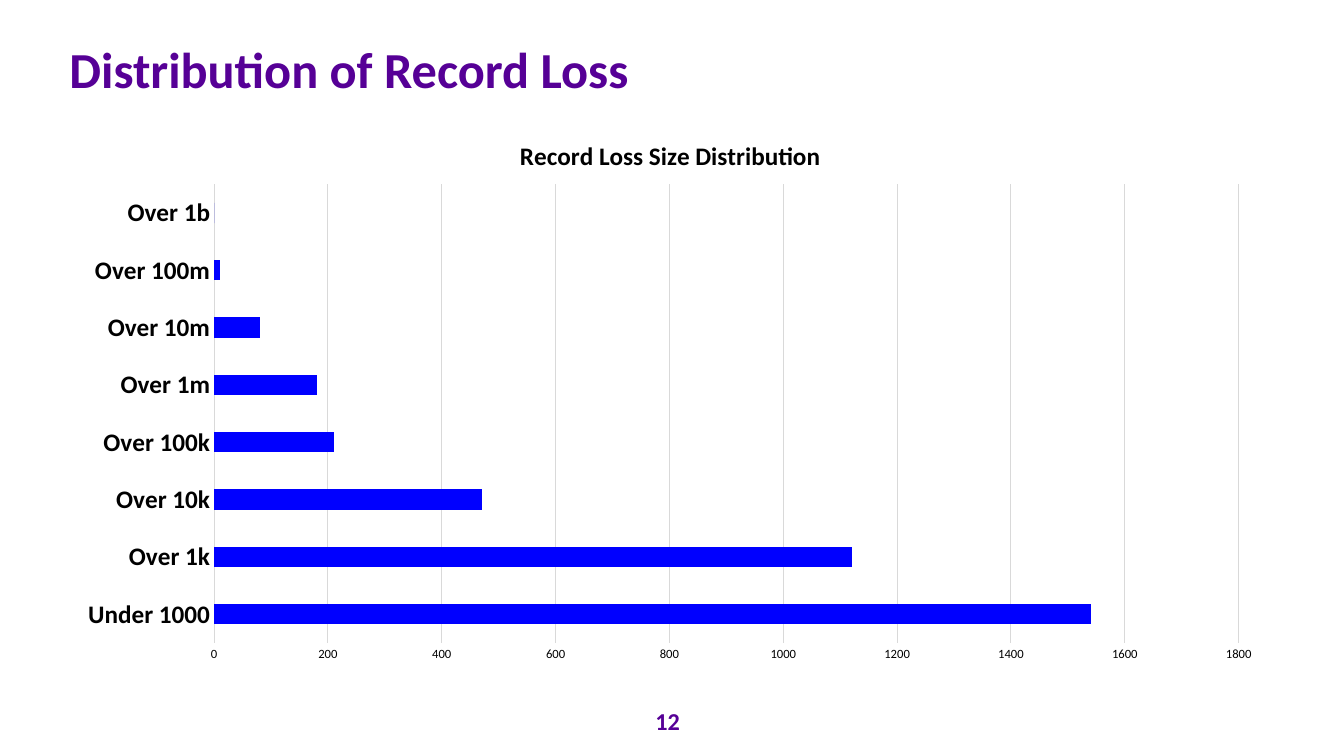
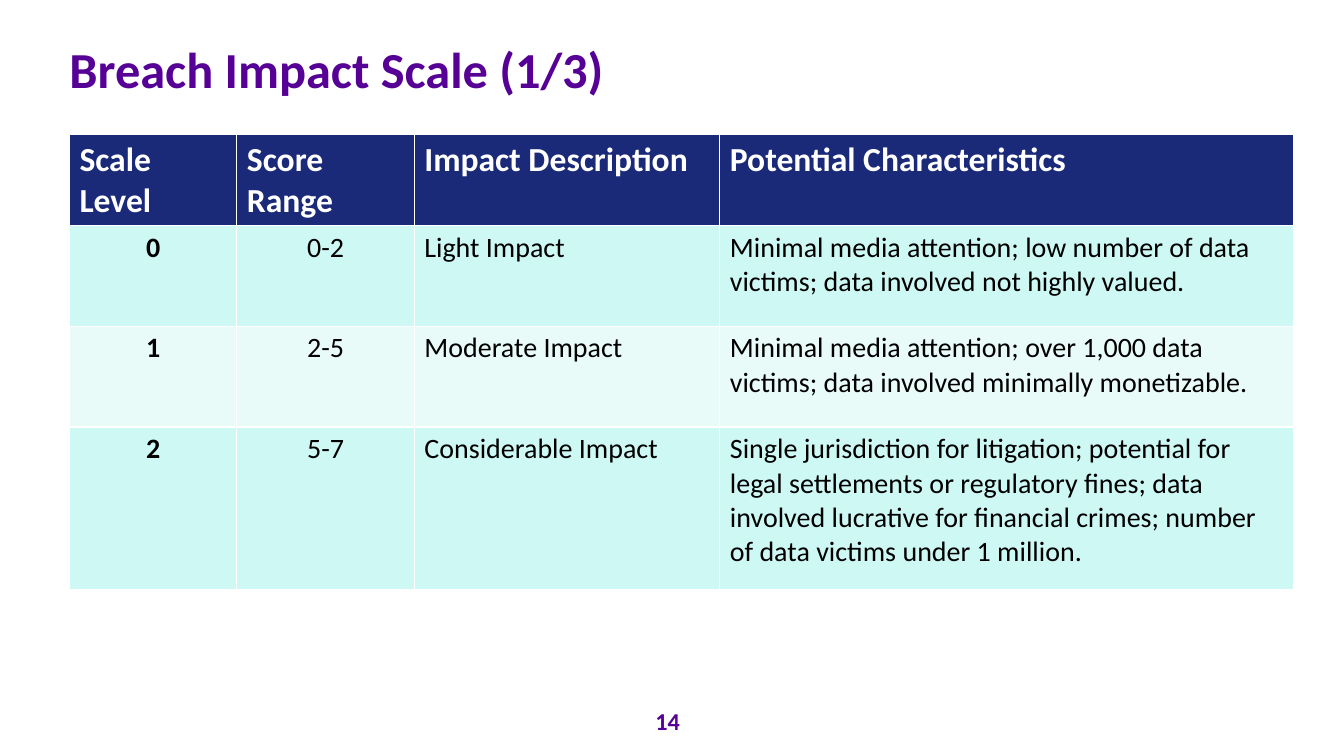
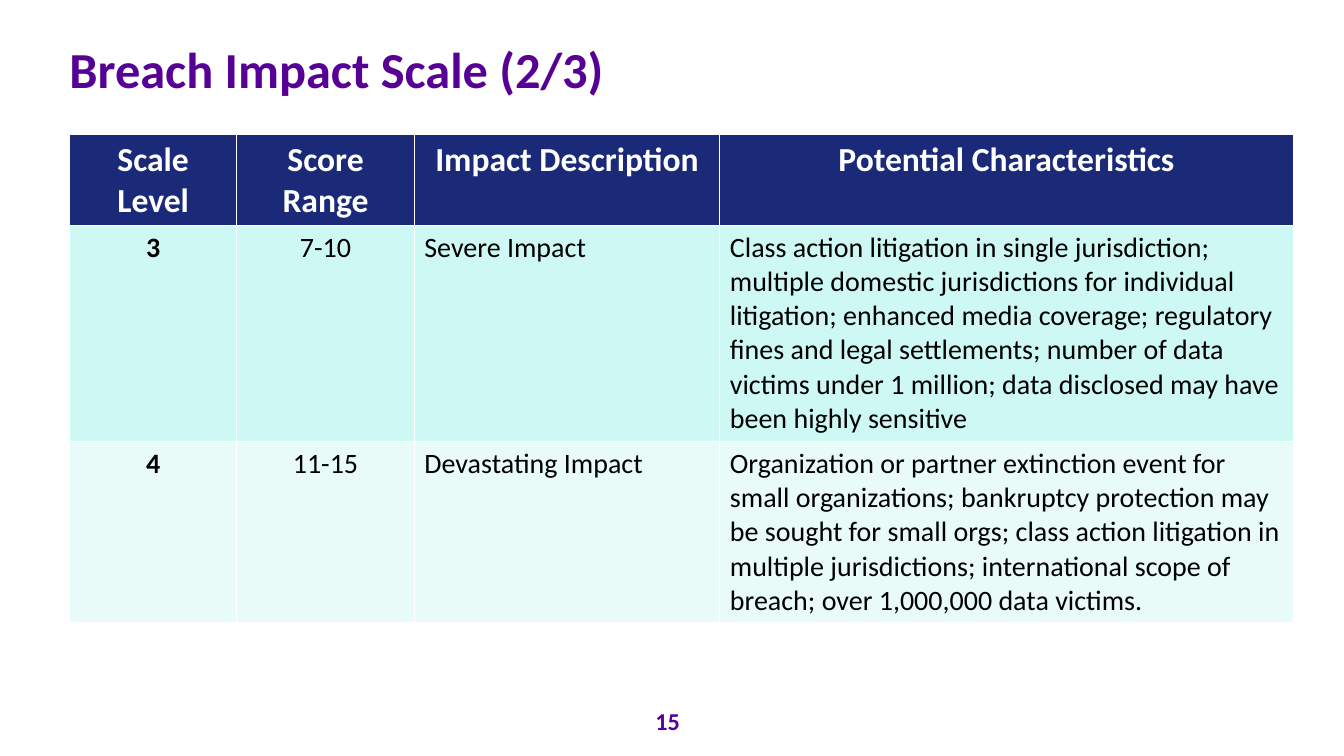
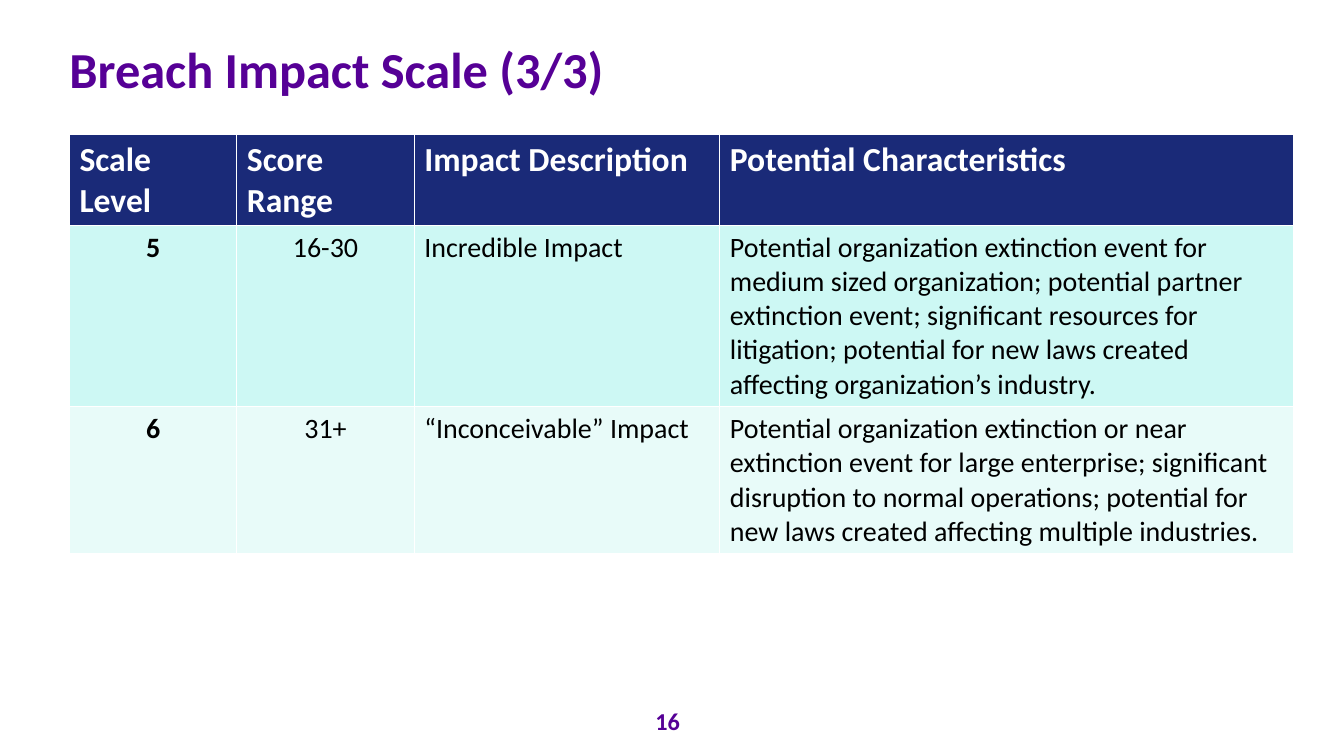
import pptx
import pptx.chart.data
import pptx.dml.color
import pptx.enum.chart
import pptx.enum.text
import pptx.oxml
import pptx.oxml.ns
import pptx.util

Cm, Pt = pptx.util.Cm, pptx.util.Pt
RGBColor = pptx.dml.color.RGBColor
ALIGN = pptx.enum.text.PP_ALIGN
ANCHOR = pptx.enum.text.MSO_ANCHOR
qn = pptx.oxml.ns.qn

# Colours
PURPLE = RGBColor(0x56, 0x00, 0x96)
NAVY = RGBColor(0x1A, 0x2A, 0x78)
AQUA = RGBColor(0xCD, 0xF8, 0xF4)
PALE_AQUA = RGBColor(0xE8, 0xFB, 0xF9)
BLUE = RGBColor(0x00, 0x00, 0xFF)
GRID_GREY = RGBColor(0xD9, 0xD9, 0xD9)
BLACK = RGBColor(0x00, 0x00, 0x00)
WHITE = RGBColor(0xFF, 0xFF, 0xFF)

# Content
LOSS_SIZES = {
    "Under 1000": 1540, "Over 1k": 1120, "Over 10k": 470, "Over 100k": 210,
    "Over 1m": 180, "Over 10m": 80, "Over 100m": 10, "Over 1b": 0,
}
SCALE_HEADINGS = ["Scale Level", "Score Range", "Impact Description",
                  "Potential Characteristics"]
# Each part: page number, heading alignment, row heights in cm, levels
SCALE_PARTS = [
    (14, ALIGN.LEFT, [2.54, 2.54, 4.09], [
        ("0", "0-2", "Light Impact",
         "Minimal media attention; low number of data victims; data involved "
         "not highly valued."),
        ("1", "2-5", "Moderate Impact",
         "Minimal media attention; over 1,000 data victims; data involved "
         "minimally monetizable."),
        ("2", "5-7", "Considerable Impact",
         "Single jurisdiction for litigation; potential for legal settlements "
         "or regulatory fines; data involved lucrative for financial crimes; "
         "number of data victims under 1 million."),
    ]),
    (15, ALIGN.CENTER, [5.45, 4.57], [
        ("3", "7-10", "Severe Impact",
         "Class action litigation in single jurisdiction; multiple domestic "
         "jurisdictions for individual litigation; enhanced media coverage; "
         "regulatory fines and legal settlements; number of data victims "
         "under 1 million; data disclosed may have been highly sensitive"),
        ("4", "11-15", "Devastating Impact",
         "Organization or partner extinction event for small organizations; "
         "bankruptcy protection may be sought for small orgs; class action "
         "litigation in multiple jurisdictions; international scope of "
         "breach; over 1,000,000 data victims."),
    ]),
    (16, ALIGN.LEFT, [4.57, 3.7], [
        ("5", "16-30", "Incredible Impact",
         "Potential organization extinction event for medium sized "
         "organization; potential partner extinction event; significant "
         "resources for litigation; potential for new laws created affecting "
         "organization’s industry."),
        ("6", "31+", "“Inconceivable” Impact",
         "Potential organization extinction or near extinction event for "
         "large enterprise; significant disruption to normal operations; "
         "potential for new laws created affecting multiple industries."),
    ]),
]


def assign(target, values):
    for name, value in values.items():
        setattr(target, name, value)


class Deck:
    """Holds the shared style and the slide being built."""

    FONT = "Calibri"
    LEFT = Cm(1.75)
    TITLE_BOX = {"left": LEFT, "top": Cm(0.25), "width": Cm(29.95), "height": Cm(3.12)}
    NUMBER_BOX = (Cm(14.88), Cm(17.65), Cm(3.89), Cm(1.02))
    CHART_BOX = (LEFT, Cm(2.79), Cm(30.38), Cm(14.27))
    TABLE_TOP = Cm(3.38)
    COLUMNS = [Cm(4.22), Cm(4.47), Cm(7.7), Cm(14.45)]
    HEADING_HEIGHT = Cm(2.3)

    def __init__(self):
        self.presentation = pptx.Presentation()
        assign(self.presentation, {"slide_width": Cm(33.87), "slide_height": Cm(19.05)})
        self.slide = None

    def style_font(self, font, size, color=BLACK, bold=False):
        assign(font, {"name": self.FONT, "size": Pt(size), "bold": bold})
        font.color.rgb = color

    def put_text(self, frame, text, size, color=BLACK, bold=False, align=ALIGN.LEFT):
        paragraph = frame.paragraphs[0]
        paragraph.alignment = align
        run = paragraph.add_run()
        run.text = text
        self.style_font(run.font, size, color, bold)
        return paragraph

    def add_slide(self, title, number):
        self.slide = self.presentation.slides.add_slide(self.presentation.slide_layouts[5])
        heading = self.slide.shapes.title
        assign(heading, self.TITLE_BOX)
        assign(heading.text_frame, {
            "margin_left": 0, "margin_right": 0, "margin_top": 0, "margin_bottom": 0,
            "vertical_anchor": ANCHOR.MIDDLE, "word_wrap": True,
            "auto_size": pptx.enum.text.MSO_AUTO_SIZE.NONE,
        })
        self.put_text(heading.text_frame, title, 36, PURPLE, True).line_spacing = 0.9

        page = self.slide.shapes.add_textbox(*self.NUMBER_BOX).text_frame
        assign(page, {"word_wrap": True, "vertical_anchor": ANCHOR.MIDDLE})
        self.put_text(page, str(number), 17.3, PURPLE, True, ALIGN.CENTER)

    def place(self, parent, index, **fractions):
        """Fix a chart part at fractions of the chart area."""
        for old in parent.findall(qn("c:layout")):
            parent.remove(old)
        target = '<c:layoutTarget val="inner"/>' if "w" in fractions else ""
        modes = "".join(f'<c:{axis}Mode val="edge"/>' for axis in "xy")
        sizes = "".join(f'<c:{key} val="{value}"/>' for key, value in fractions.items())
        parent.insert(index, pptx.oxml.parse_xml(
            f'<c:layout {pptx.oxml.ns.nsdecls("c")}><c:manualLayout>'
            f'{target}{modes}{sizes}</c:manualLayout></c:layout>'))

    def add_bar_chart(self, title, values):
        data = pptx.chart.data.CategoryChartData()
        data.categories = list(values)
        data.add_series("Series 1", list(values.values()))
        chart = self.slide.shapes.add_chart(
            pptx.enum.chart.XL_CHART_TYPE.BAR_CLUSTERED, *self.CHART_BOX, data).chart
        self.style_font(chart.font, 10)
        assign(chart, {"has_legend": False, "has_title": True})
        self.put_text(chart.chart_title.text_frame, title, 18, bold=True, align=ALIGN.CENTER)
        self.place(chart.chart_title.element, 1, x=0.37, y=0.04)
        self.place(chart.element.find(".//" + qn("c:plotArea")), 0,
                   x=0.12, y=0.13, w=0.85, h=0.81)

        # Bars
        plot = chart.plots[0]
        assign(plot, {"gap_width": 182, "vary_by_categories": False})
        fill = plot.series[0].format.fill
        fill.solid()
        fill.fore_color.rgb = BLUE

        # Axes
        sizes, counts = chart.category_axis, chart.value_axis
        for axis, size, bold in ((sizes, 18, True), (counts, 9, False)):
            axis.major_tick_mark = pptx.enum.chart.XL_TICK_MARK.NONE
            self.style_font(axis.tick_labels.font, size, bold=bold)
        assign(counts, {"minimum_scale": 0, "maximum_scale": 1800, "major_unit": 200})
        counts.format.line.fill.background()
        for line in (sizes.format.line, counts.major_gridlines.format.line):
            line.color.rgb = GRID_GREY
            line.width = Pt(0.75)

    def fill_cell(self, cell, text, background, **style):
        cell.fill.solid()
        cell.fill.fore_color.rgb = background
        self.put_text(cell.text_frame, text, **style)

    def add_scale_table(self, heading_align, heights, levels):
        row_heights = [self.HEADING_HEIGHT] + [Cm(height) for height in heights]
        table = self.slide.shapes.add_table(
            len(row_heights), len(self.COLUMNS), self.LEFT, self.TABLE_TOP,
            sum(self.COLUMNS), sum(row_heights)).table
        for column, width in zip(table.columns, self.COLUMNS):
            column.width = width
        for row, height in zip(table.rows, row_heights):
            row.height = height

        for column, heading in enumerate(SCALE_HEADINGS):
            self.fill_cell(table.cell(0, column), heading, NAVY, size=24,
                           color=WHITE, bold=True, align=heading_align)
        for row, level in enumerate(levels, 1):
            for column, text in enumerate(level):
                self.fill_cell(table.cell(row, column), text,
                               AQUA if row % 2 else PALE_AQUA,
                               size=20, bold=column == 0,
                               align=ALIGN.CENTER if column < 2 else ALIGN.LEFT)


def main():
    deck = Deck()

    # Record loss chart
    deck.add_slide("Distribution of Record Loss", 12)
    deck.add_bar_chart("Record Loss Size Distribution", LOSS_SIZES)

    # Impact scale tables
    for part, (number, heading_align, heights, levels) in enumerate(SCALE_PARTS, 1):
        deck.add_slide(f"Breach Impact Scale ({part}/{len(SCALE_PARTS)})", number)
        deck.add_scale_table(heading_align, heights, levels)

    deck.presentation.save("out.pptx")


if __name__ == "__main__":
    main()
